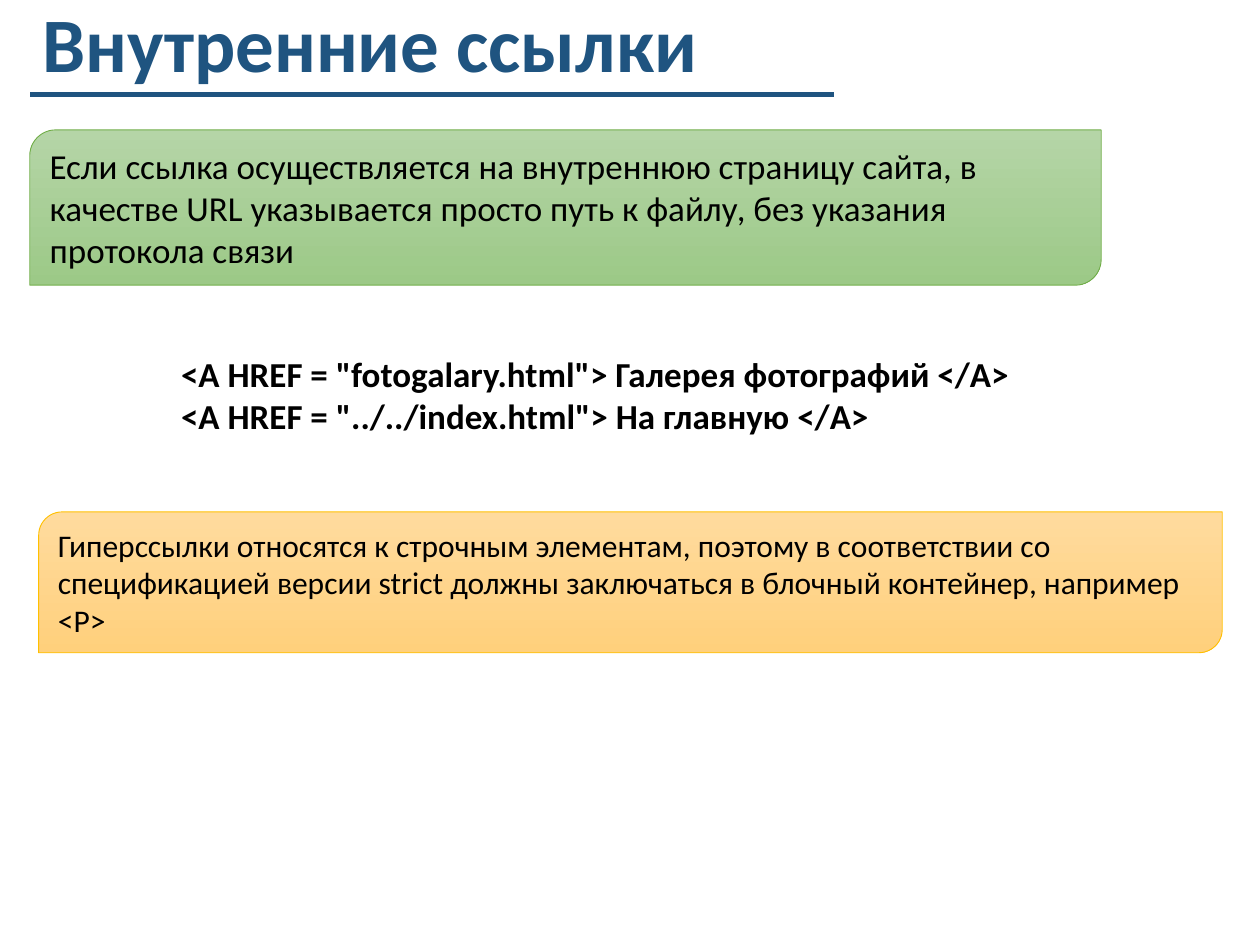
import pptx
import pptx.dml.color
import pptx.enum.shapes
import pptx.enum.text
import pptx.oxml
import pptx.util
from pptx.util import Cm

FONT = "Calibri"
BLUE = "1F5480"
BLACK = "000000"


def rgb(value):
    return pptx.dml.color.RGBColor.from_string(value)


def write_text(box, text, size, color=BLACK, bold=False, anchor="TOP", spacing=None):
    frame = box.text_frame
    frame.text = text
    frame.word_wrap = True
    frame.vertical_anchor = getattr(pptx.enum.text.MSO_ANCHOR, anchor)
    for para in frame.paragraphs:
        para.alignment = pptx.enum.text.PP_ALIGN.LEFT
        para.line_spacing = spacing
        for span in para.runs:
            span.font.name = FONT
            span.font.size = pptx.util.Pt(size)
            span.font.bold = bold
            span.font.color.rgb = rgb(color)


def add_text(page, left, top, width, height, text, size, **style):
    box = page.shapes.add_textbox(Cm(left), Cm(top), Cm(width), Cm(height))
    write_text(box, text, size, **style)


def add_rule(page, left, right, y):
    rule = page.shapes.add_connector(
        pptx.enum.shapes.MSO_CONNECTOR.STRAIGHT, Cm(left), Cm(y), Cm(right), Cm(y))
    rule.line.color.rgb = rgb(BLUE)
    rule.line.width = pptx.util.Pt(3)
    properties = rule._element.spPr
    properties.append(properties.makeelement(pptx.oxml.ns.qn("a:effectLst"), {}))


def add_callout(page, left, top, width, height, text, size, gradient, outline):
    box = page.shapes.add_shape(
        pptx.enum.shapes.MSO_SHAPE.ROUND_2_DIAG_RECTANGLE,
        Cm(left), Cm(top), Cm(width), Cm(height))
    box.shadow.inherit = False
    box.fill.gradient()
    box.fill.gradient_angle = 270  # runs from top to bottom
    for stop, color in zip(box.fill.gradient_stops, gradient):
        stop.color.rgb = rgb(color)
    box.line.color.rgb = rgb(outline)
    box.line.width = pptx.util.Pt(0.5)
    write_text(box, text, size, anchor="MIDDLE")


def main():
    deck = pptx.Presentation()
    deck.slide_width, deck.slide_height = Cm(25.4), Cm(19.05)
    page = deck.slides.add_slide(deck.slide_layouts[6])

    # Title with its underline
    add_text(page, 0.61, 0, 19.15, 2.62, "Внутренние ссылки", 44,
             color=BLUE, bold=True, spacing=0.9)
    add_rule(page, 0.61, 16.81, 1.91)

    # Rule for internal links
    add_callout(page, 0.6, 2.62, 21.6, 3.13,
                "Если ссылка осуществляется на внутреннюю страницу сайта, в качестве "
                "URL указывается просто путь к файлу, без указания протокола связи",
                20, ("B5D5A7", "9CC987"), "70AD47")

    # Code sample
    add_text(page, 3.4, 6.99, 19.94, 1.96,
             '<A HREF = "fotogalary.html"> Галерея фотографий </A>\n'
             '<A HREF = "../../index.html"> На главную </A>', 20, bold=True)

    # Note on block containers
    add_callout(page, 0.78, 10.32, 23.86, 2.84,
                "Гиперссылки относятся к строчным элементам, поэтому в соответствии со "
                "спецификацией версии strict должны заключаться в блочный контейнер, "
                "например <P>",
                18, ("FFDB9E", "FFD07C"), "FFC000")

    deck.save("out.pptx")


if __name__ == "__main__":
    main()
